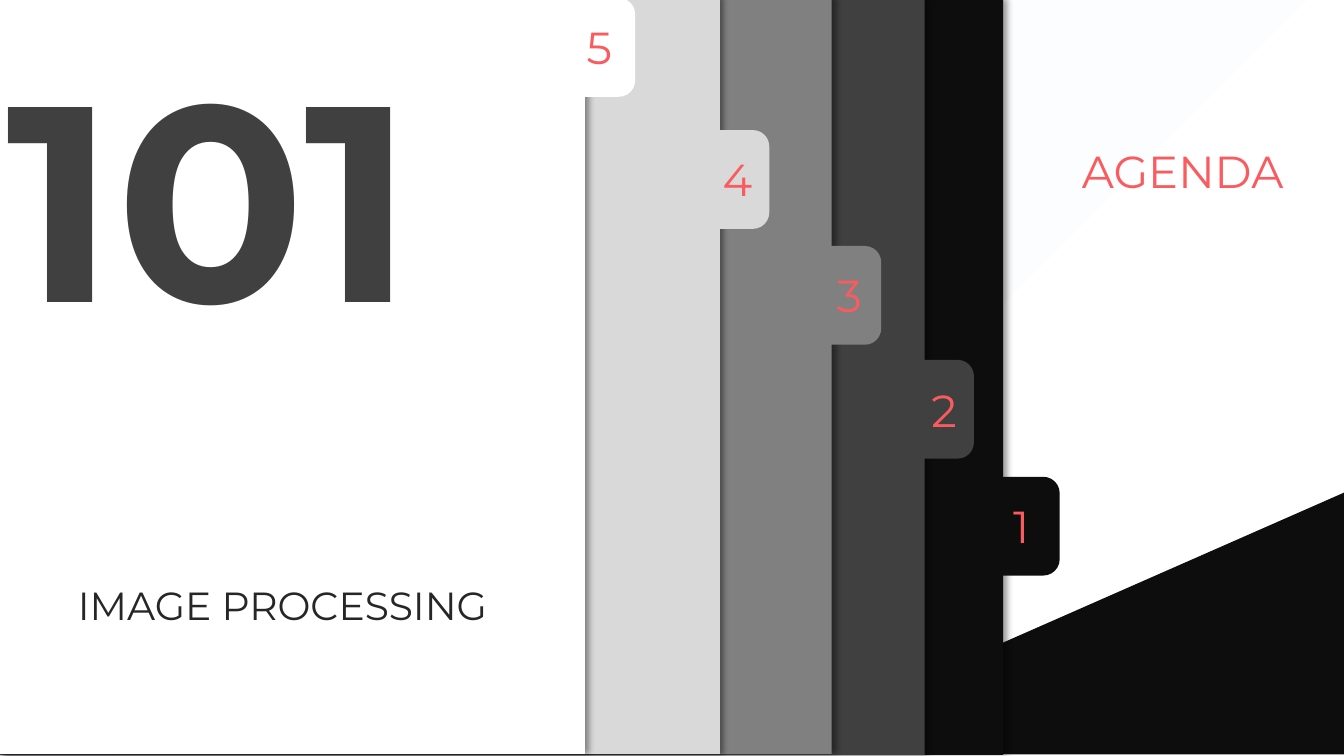
from dataclasses import dataclass

from lxml.etree import SubElement
from pptx import Presentation
from pptx.dml.color import RGBColor
from pptx.enum.shapes import MSO_SHAPE
from pptx.enum.text import MSO_ANCHOR, MSO_AUTO_SIZE, PP_ALIGN
from pptx.oxml import parse_xml
from pptx.oxml.ns import nsdecls, qn
from pptx.shapes.autoshape import Shape
from pptx.slide import Slide
from pptx.util import Inches, Pt


@dataclass(frozen=True)
class Theme:
    font: str = "Montserrat"
    accent: str = "F95B5F"
    ink: str = "262626"
    black: str = "0D0D0D"
    charcoal: str = "404040"
    gray: str = "808080"
    silver: str = "D9D9D9"
    white: str = "FFFFFF"
    mist: str = "F6F8FC"
    shadow: str = "000000"
    number_size: int = 32
    caption_size: int = 28
    hero_size: int = 199


@dataclass(frozen=True)
class Frame:
    left: float
    top: float
    width: float
    height: float

    def lengths(self) -> list[Inches]:
        return [Inches(side) for side in (self.left, self.top, self.width, self.height)]


@dataclass(frozen=True)
class Panel:
    number: str
    color: str
    sheet: Frame
    tab: Frame
    label_left: float
    label_top: float


@dataclass(frozen=True)
class Style:
    size: int
    color: str
    bold: bool = False
    shadow: bool = False
    align: PP_ALIGN = PP_ALIGN.LEFT


THEME = Theme()
SLIDE_HEIGHT = 7.5
TAB_WIDTH, TAB_HEIGHT = 0.97, 0.98
LABEL_WIDTH, LABEL_HEIGHT = 0.47, 0.64

PANELS = [
    Panel("1", THEME.black, Frame(0, -0.01, 9.95, SLIDE_HEIGHT),
          Frame(9.39, 4.73, 1.12, TAB_HEIGHT), 9.95, 4.9),
    Panel("2", THEME.charcoal, Frame(0, -0.01, 9.17, SLIDE_HEIGHT),
          Frame(8.69, 3.57, TAB_WIDTH, TAB_HEIGHT), 9.14, 3.75),
    Panel("3", THEME.gray, Frame(0.01, -0.02, 8.24, SLIDE_HEIGHT),
          Frame(7.77, 2.44, TAB_WIDTH, TAB_HEIGHT), 8.2, 2.61),
    Panel("4", THEME.silver, Frame(-0.03, -0.02, 7.17, SLIDE_HEIGHT),
          Frame(6.66, 1.29, TAB_WIDTH, TAB_HEIGHT), 7.07, 1.46),
    Panel("5", THEME.white, Frame(-0.02, -0.02, 5.82, SLIDE_HEIGHT),
          Frame(5.33, -0.02, TAB_WIDTH, TAB_HEIGHT), 5.72, 0.15),
]


def add_outer_shadow(effects, angle: int) -> None:
    shadow = SubElement(effects, qn("a:outerShdw"), blurRad=str(Pt(4)),
                        dist=str(Pt(3)), dir=str(angle * 60000),
                        algn="l", rotWithShape="0")
    color = SubElement(shadow, qn("a:srgbClr"), val=THEME.shadow)
    SubElement(color, qn("a:alpha"), val="40000")


def add_block(page: Slide, kind: MSO_SHAPE, frame: Frame, color: str,
              shadow: bool = False) -> Shape:
    block = page.shapes.add_shape(kind, *frame.lengths())
    block.fill.solid()
    block.fill.fore_color.rgb = RGBColor.from_string(color)
    block.line.fill.background()
    block.shadow.inherit = False
    if shadow:
        add_outer_shadow(block._element.spPr.find(qn("a:effectLst")), 0)
    return block


def write(box: Shape, text: str, style: Style) -> None:
    frame = box.text_frame
    frame.text = text
    frame.word_wrap = True
    frame.auto_size = MSO_AUTO_SIZE.SHAPE_TO_FIT_TEXT
    frame.vertical_anchor = MSO_ANCHOR.TOP
    para = frame.paragraphs[0]
    para.alignment = style.align
    span = para.runs[0]
    span.font.size = Pt(style.size)
    span.font.bold = style.bold
    span.font.color.rgb = RGBColor.from_string(style.color)
    span.font.name = THEME.font
    if style.shadow:
        effects = parse_xml(f"<a:effectLst {nsdecls('a')}/>")
        add_outer_shadow(effects, 45)
        span._r.rPr.find(qn("a:solidFill")).addnext(effects)


def add_text(page: Slide, frame: Frame, text: str, style: Style) -> None:
    write(page.shapes.add_textbox(*frame.lengths()), text, style)


def paint_background(page: Slide) -> None:
    fill = page.background.fill
    fill.gradient()
    fill.gradient_angle = 315
    for stop, color, position in zip(fill.gradient_stops,
                                     (THEME.mist, THEME.white), (0, 0.83)):
        stop.color.rgb = RGBColor.from_string(color)
        stop.position = position


def main() -> None:
    deck = Presentation()
    deck.slide_width, deck.slide_height = Inches(13.33), Inches(SLIDE_HEIGHT)
    page = deck.slides.add_slide(deck.slide_layouts[5])
    paint_background(page)

    title = page.shapes.title
    title.left, title.top, title.width, title.height = Frame(10.22, 1.38, 3.02, 0.64).lengths()
    write(title, "AGENDA", Style(THEME.number_size, THEME.accent, shadow=True,
                                 align=PP_ALIGN.CENTER))

    wedge = add_block(page, MSO_SHAPE.RIGHT_TRIANGLE,
                      Frame(9.08, 3.23, 2.6, 5.91), THEME.black)
    wedge.rotation = 270

    for panel in PANELS:
        add_block(page, MSO_SHAPE.RECTANGLE, panel.sheet, panel.color, shadow=True)
        add_block(page, MSO_SHAPE.ROUNDED_RECTANGLE, panel.tab, panel.color)

    number_style = Style(THEME.number_size, THEME.accent, shadow=True)
    for panel in PANELS:
        label = Frame(panel.label_left, panel.label_top, LABEL_WIDTH, LABEL_HEIGHT)
        add_text(page, label, panel.number, number_style)

    add_text(page, Frame(-0.03, 0.19, 5.8, 3.45), "101",
             Style(THEME.hero_size, THEME.charcoal, bold=True))
    add_text(page, Frame(0.49, 5.72, 4.62, 0.57), "IMAGE PROCESSING",
             Style(THEME.caption_size, THEME.ink, align=PP_ALIGN.CENTER))
    deck.save("out.pptx")


if __name__ == "__main__":
    main()
